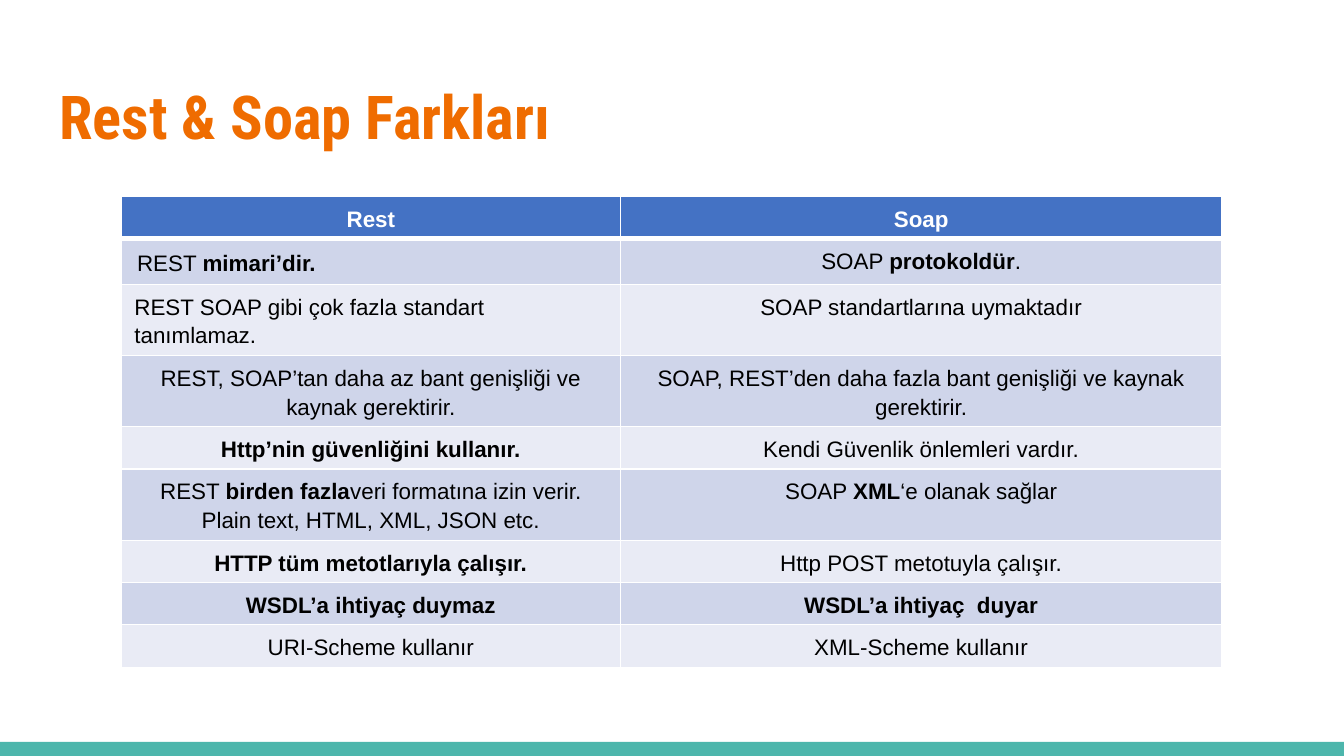
"""Build a slide comparing REST and SOAP in a two-column table."""
from lxml.etree import SubElement
from pptx import Presentation
from pptx.dml.color import RGBColor
from pptx.enum.shapes import MSO_SHAPE
from pptx.enum.text import MSO_ANCHOR as ANCHOR, MSO_AUTO_SIZE as AUTO_SIZE, PP_ALIGN as ALIGN
from pptx.oxml.ns import qn
from pptx.util import Inches, Pt

COLORS = {
    "title": "EF6C00", "bar": "4DB6AC", "header": "4472C4",
    "odd": "CFD5EA", "even": "E9EBF5", "white": "FFFFFF", "black": "000000",
}
ROWS = [
    (0.31, "*Rest*", "*Soap*"),
    (0.34, "REST *mimari’dir.*", "SOAP *protokoldür*."),
    (0.53, "REST SOAP gibi çok fazla standart tanımlamaz.", "SOAP standartlarına uymaktadır"),
    (0.53, "REST, SOAP’tan daha az bant genişliği ve kaynak gerektirir.",
     "SOAP, REST’den daha fazla bant genişliği ve kaynak gerektirir."),
    (0.31, "*Http’nin güvenliğini kullanır.*", "Kendi Güvenlik önlemleri vardır."),
    (0.53, "REST *birden fazla*veri formatına izin verir. Plain text, HTML, XML, JSON etc.",
     "SOAP *XML*‘e olanak sağlar"),
    (0.31, "*HTTP tüm metotlarıyla çalışır.*", "Http POST metotuyla çalışır."),
    (0.31, "*WSDL’a ihtiyaç duymaz*", "*WSDL’a ihtiyaç  duyar*"),
    (0.31, "URI-Scheme kullanır", "XML-Scheme kullanır"),
]
COLUMN_WIDTHS = [3.72, 4.47]
LEFT_ALIGNED = [(1, 0), (2, 0)]


def rgb(name):
    return RGBColor.from_string(COLORS[name])


def add_borders(cell, widths):
    properties = cell._tc.get_or_add_tcPr()
    for side, width in widths.items():
        line = SubElement(properties, qn(f"a:ln{side}"), w=str(Pt(width)))
        SubElement(SubElement(line, qn("a:solidFill")), qn("a:srgbClr"), val=COLORS["white"])


prs = Presentation()
prs.slide_width, prs.slide_height = Inches(10), Inches(10) * 9 // 16
slide = prs.slides.add_slide(prs.slide_layouts[5])

bar = slide.shapes.add_shape(MSO_SHAPE.RECTANGLE, Inches(0), Inches(5.52), Inches(10), Inches(0.11))
bar.shadow.inherit = False
bar.fill.solid()
bar.fill.fore_color.rgb = rgb("bar")
bar.line.fill.background()

title = slide.shapes.title
title_box = {"left": 0.34, "top": 0.49, "width": 9.32, "height": 0.77}
for name, value in title_box.items():
    setattr(title, name, Inches(value))
heading = title.text_frame
heading.text = "Rest & Soap Farkları"
heading_format = {
    "margin_left": Inches(0.1), "margin_right": Inches(0.1),
    "margin_top": Inches(0.1), "margin_bottom": Inches(0.1),
    "auto_size": AUTO_SIZE.NONE, "vertical_anchor": ANCHOR.TOP, "word_wrap": True,
}
for name, value in heading_format.items():
    setattr(heading, name, value)
heading.paragraphs[0].alignment = ALIGN.LEFT
heading_font = heading.paragraphs[0].runs[0].font
for name, value in {"name": "Roboto Condensed", "size": Pt(32.4), "bold": True}.items():
    setattr(heading_font, name, value)
heading_font.color.rgb = rgb("title")

comparison = slide.shapes.add_table(
    len(ROWS), len(COLUMN_WIDTHS), Inches(0.9), Inches(1.46),
    Inches(sum(COLUMN_WIDTHS)), Inches(sum(row[0] for row in ROWS)),
).table
comparison.horz_banding = False
for column, width in zip(comparison.columns, COLUMN_WIDTHS):
    column.width = Inches(width)

for r, (height, *texts) in enumerate(ROWS):
    comparison.rows[r].height = Inches(height)
    band = "header" if r == 0 else "odd" if r % 2 else "even"
    for c, text in enumerate(texts):
        cell = comparison.cell(r, c)
        roomy = (r, c) == (1, 0)
        cell_format = {
            "margin_left": Inches(0.12 if roomy else 0.1),
            "margin_right": Inches(0.12 if roomy else 0.1),
            "margin_top": Inches(0.06 if roomy else 0.05),
            "margin_bottom": Inches(0.06 if roomy else 0.05),
            "vertical_anchor": ANCHOR.MIDDLE if roomy else ANCHOR.TOP,
        }
        for name, value in cell_format.items():
            setattr(cell, name, value)
        add_borders(cell, {"L": 0.75, "R": 0.75, "T": 3 if r == 1 else 0.75, "B": 3 if r == 0 else 0.75})
        cell.fill.solid()
        cell.fill.fore_color.rgb = rgb(band)

        statement = cell.text_frame.paragraphs[0]
        statement.alignment = ALIGN.LEFT if (r, c) in LEFT_ALIGNED else ALIGN.CENTER
        statement.line_spacing = 1.15
        for i, part in enumerate(text.split("*")):
            if part:
                run = statement.add_run()
                run.text = part
                for name, value in {"name": "Arial", "size": Pt(12), "bold": i % 2 == 1}.items():
                    setattr(run.font, name, value)
                run.font.color.rgb = rgb("white" if r == 0 else "black")

prs.save("out.pptx")
